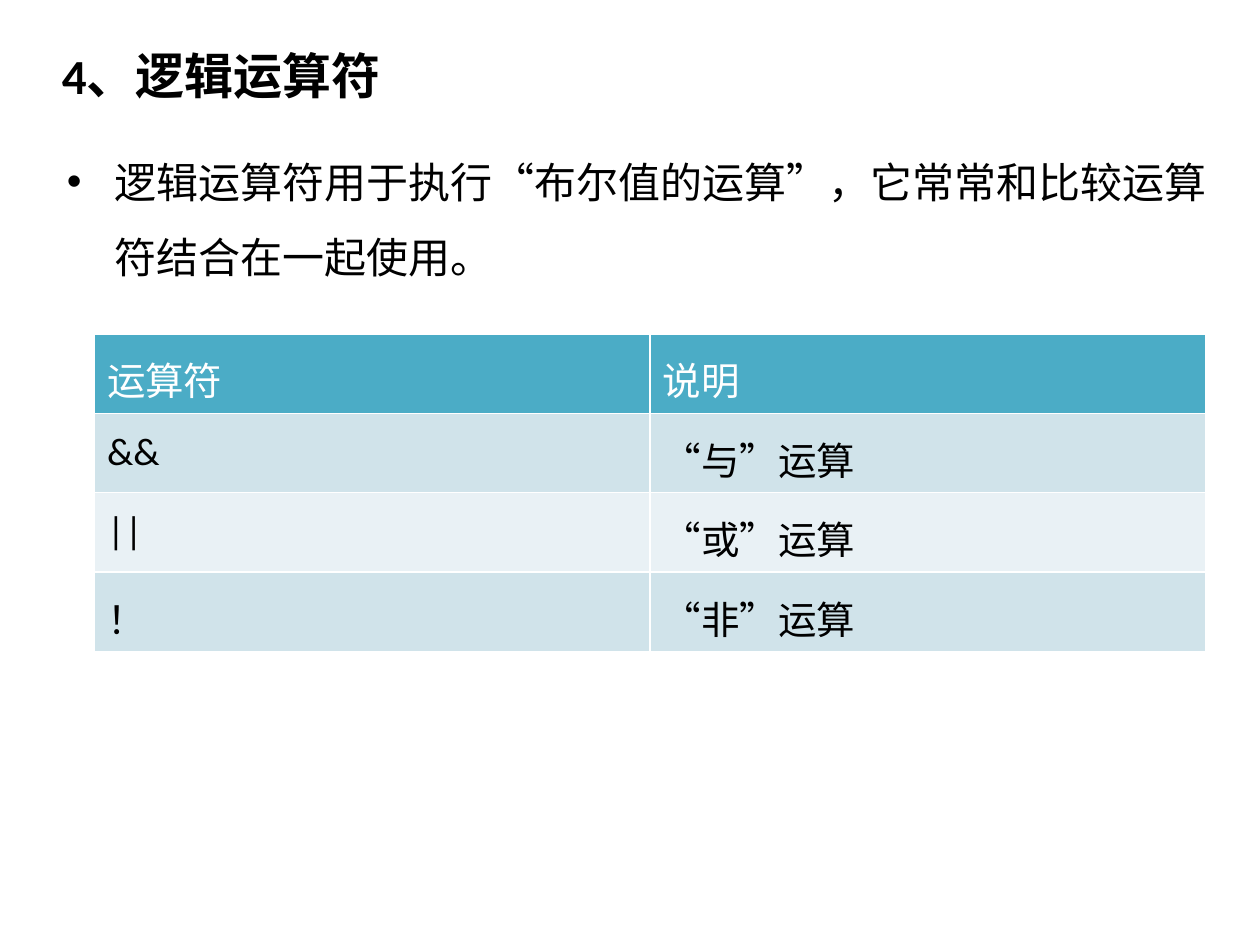
from pptx import Presentation
from pptx.dml.color import RGBColor
from pptx.enum.text import MSO_ANCHOR, MSO_AUTO_SIZE, PP_ALIGN
from pptx.util import Inches, Pt


def color(value):
    return RGBColor.from_string(value)


def format_text(text_frame, size, text_color, line_spacing, bold=False):
    for paragraph in text_frame.paragraphs:
        paragraph.alignment = PP_ALIGN.LEFT
        paragraph.line_spacing = line_spacing
        for run in paragraph.runs:
            run.font.name = "Calibri"
            run.font.size = Pt(size)
            run.font.bold = bold
            run.font.color.rgb = color(text_color)


presentation = Presentation()
presentation.slide_width = Inches(10)
presentation.slide_height = Inches(7.5)
slide = presentation.slides.add_slide(presentation.slide_layouts[1])

title = slide.shapes.title
title.text_frame.text = "4、逻辑运算符"
format_text(title.text_frame, 28, "000000", 1.0, bold=True)

body = slide.placeholders[1]
body.text_frame.text = "逻辑运算符用于执行“布尔值的运算”，它常常和比较运算符结合在一起使用。"
format_text(body.text_frame, 24, "000000", 1.5)

positions = [(title, 0.39, 0.31, 8.91, 0.7), (body, 0.43, 0.99, 9.29, 1.5)]
for shape, left, top, width, height in positions:
    shape.left, shape.top = Inches(left), Inches(top)
    shape.width, shape.height = Inches(width), Inches(height)
    shape.text_frame.vertical_anchor = MSO_ANCHOR.TOP
    shape.text_frame.auto_size = MSO_AUTO_SIZE.NONE

operators = [
    ("运算符", "说明"),
    ("&&", "“与”运算"),
    ("||", "“或”运算"),
    ("！", "“非”运算"),
]
row_fills = ["4BACC6", "D0E3EA", "E9F1F5", "D0E3EA"]
table = slide.shapes.add_table(
    len(operators), 2, Inches(0.75), Inches(2.65), Inches(8.82), Inches(2.52)
).table
for row_index, (texts, row_fill) in enumerate(zip(operators, row_fills)):
    text_color = "FFFFFF" if row_index == 0 else "000000"
    for column_index, text in enumerate(texts):
        cell = table.cell(row_index, column_index)
        cell.text_frame.text = text
        cell.fill.solid()
        cell.fill.fore_color.rgb = color(row_fill)
        format_text(cell.text_frame, 22, text_color, 1.2)

presentation.save("out.pptx")
